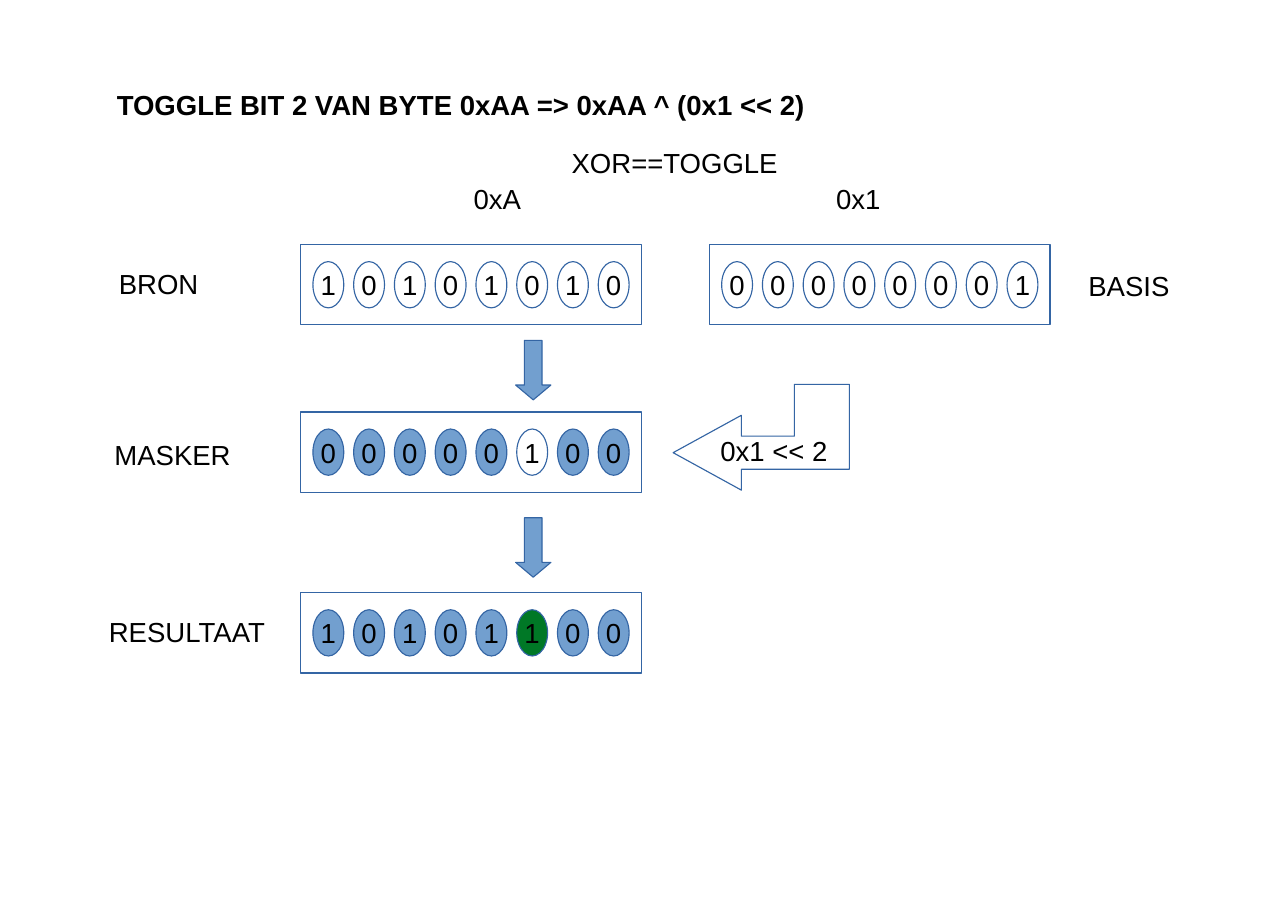
from dataclasses import dataclass

from pptx import Presentation
from pptx.dml.color import RGBColor
from pptx.enum.shapes import MSO_SHAPE
from pptx.enum.text import MSO_ANCHOR, MSO_AUTO_SIZE, PP_ALIGN
from pptx.shapes.autoshape import Shape
from pptx.slide import Slide
from pptx.text.text import TextFrame
from pptx.util import Inches, Pt

LINE = "3465A4"
BLUE = "729FCF"
GREEN = "007826"
BLACK = "000000"

BYTE_WIDTH, BYTE_HEIGHT = 3.09, 0.73
BIT_WIDTH, BIT_HEIGHT = 0.28, 0.42
BIT_STEP = 0.37
BIT_INSET_X, BIT_INSET_Y = 0.11, 0.155
TOGGLED_BIT = 5


@dataclass(frozen=True)
class Byte:
    left: float
    top: float
    bits: str
    fill: str | None = None
    toggled_fill: str | None = None


@dataclass(frozen=True)
class Label:
    text: str
    left: float
    top: float
    width: float
    height: float


BYTES = [
    Byte(2.73, 2.22, "10101010"),
    Byte(2.73, 3.74, "00000100", BLUE),
    Byte(2.73, 5.38, "10101100", BLUE, GREEN),
    Byte(6.44, 2.22, "00000001"),
]
LABELS = [
    Label("BRON", 0.98, 2.37, 0.98, 0.52),
    Label("MASKER", 0.94, 3.93, 1.34, 0.71),
    Label("RESULTAAT", 0.89, 5.53, 1.77, 0.71),
    Label("BASIS", 9.78, 2.39, 1.17, 0.71),
    Label("0xA", 4.2, 1.6, 0.69, 0.48),
    Label("0x1", 7.49, 1.6, 0.8, 0.43),
    Label("XOR==TOGGLE", 5.09, 1.28, 2.16, 0.49),
    Label("0x1 << 2", 6.44, 3.89, 1.38, 0.45),
]
DOWN_ARROW_TOPS = [3.09, 4.7]
SHIFT_ARROW = [
    (6.73, 3.77), (6.73, 3.96), (7.21, 3.96), (7.21, 3.49), (7.71, 3.49),
    (7.71, 4.26), (6.73, 4.26), (6.73, 4.45), (6.11, 4.11),
]


def color(value: str) -> RGBColor:
    return RGBColor.from_string(value)


def style_shape(shape: Shape, fill: str | None = None) -> None:
    shape.shadow.inherit = False
    shape.line.color.rgb = color(LINE)
    shape.line.width = Pt(0)
    if fill:
        shape.fill.solid()
        shape.fill.fore_color.rgb = color(fill)
    else:
        shape.fill.background()


def write_text(frame: TextFrame, text: str, align: PP_ALIGN = PP_ALIGN.LEFT,
               anchor: MSO_ANCHOR = MSO_ANCHOR.TOP, wrap: bool = True,
               bold: bool = False) -> None:
    frame.word_wrap = wrap
    frame.auto_size = MSO_AUTO_SIZE.NONE
    frame.vertical_anchor = anchor
    para = frame.paragraphs[0]
    para.alignment = align
    span = para.add_run()
    span.text = text
    span.font.name = "Arial"
    span.font.size = Pt(18)
    span.font.bold = bold
    span.font.color.rgb = color(BLACK)


def add_preset(page: Slide, kind: MSO_SHAPE, left: float, top: float,
               width: float, height: float, fill: str | None = None) -> Shape:
    shape = page.shapes.add_shape(
        kind, Inches(left), Inches(top), Inches(width), Inches(height))
    style_shape(shape, fill)
    return shape


def add_byte(page: Slide, byte: Byte) -> None:
    add_preset(page, MSO_SHAPE.RECTANGLE, byte.left, byte.top, BYTE_WIDTH, BYTE_HEIGHT)
    for index, bit in enumerate(byte.bits):
        fill = byte.toggled_fill if index == TOGGLED_BIT else byte.fill
        oval = add_preset(
            page, MSO_SHAPE.OVAL, byte.left + BIT_INSET_X + index * BIT_STEP,
            byte.top + BIT_INSET_Y, BIT_WIDTH, BIT_HEIGHT, fill)
        write_text(oval.text_frame, bit, PP_ALIGN.CENTER, MSO_ANCHOR.MIDDLE, wrap=False)


def add_label(page: Slide, label: Label) -> None:
    box = page.shapes.add_textbox(
        Inches(label.left), Inches(label.top), Inches(label.width), Inches(label.height))
    write_text(box.text_frame, label.text)


def add_down_arrow(page: Slide, top: float) -> None:
    arrow = add_preset(page, MSO_SHAPE.DOWN_ARROW, 4.68, top, 0.32, 0.54, BLUE)
    arrow.adjustments[0] = 0.5
    arrow.adjustments[1] = 0.42


def add_shift_arrow(page: Slide) -> None:
    points = [(Inches(x), Inches(y)) for x, y in SHIFT_ARROW]
    builder = page.shapes.build_freeform(*points[0])
    builder.add_line_segments(points[1:], close=True)
    style_shape(builder.convert_to_shape())


def add_title(page: Slide) -> None:
    title = page.shapes.title
    title.left, title.top = Inches(0.96), Inches(0.75)
    title.width, title.height = Inches(6.8), Inches(0.66)
    write_text(title.text_frame, "TOGGLE BIT 2 VAN BYTE 0xAA => 0xAA ^ (0x1 << 2)", bold=True)


def main() -> None:
    deck = Presentation()
    deck.slide_width, deck.slide_height = Inches(11.69), Inches(8.27)
    page = deck.slides.add_slide(deck.slide_layouts.get_by_name("Title Only"))
    add_title(page)
    for byte in BYTES:
        add_byte(page, byte)
    for top in DOWN_ARROW_TOPS:
        add_down_arrow(page, top)
    add_shift_arrow(page)
    for label in LABELS:
        add_label(page, label)
    deck.save("out.pptx")


if __name__ == "__main__":
    main()
